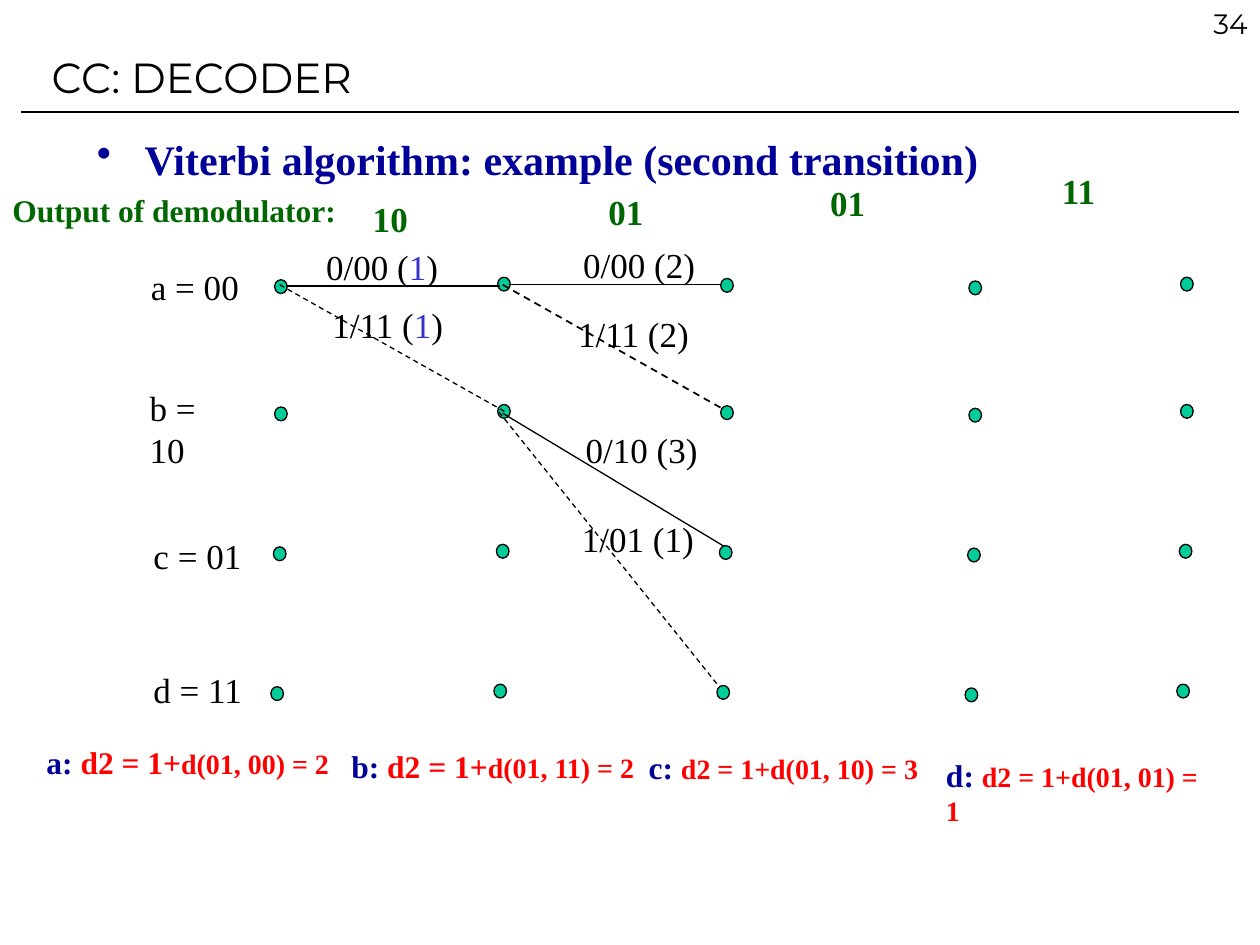
from dataclasses import dataclass

from lxml.etree import SubElement
from pptx import Presentation
from pptx.dml.color import RGBColor
from pptx.enum.dml import MSO_LINE_DASH_STYLE as Dash
from pptx.enum.shapes import MSO_CONNECTOR as Connector, MSO_SHAPE as Shape
from pptx.enum.text import MSO_ANCHOR as Anchor, MSO_AUTO_SIZE as AutoSize, PP_ALIGN as Align
from pptx.oxml.ns import qn
from pptx.slide import Slide
from pptx.text.text import TextFrame
from pptx.util import Inches, Pt


@dataclass(frozen=True)
class Theme:
    heading_font: str = "Montserrat"
    body_font: str = "Times New Roman"
    black: str = "000000"
    navy: str = "000099"
    green: str = "006600"
    red: str = "FF0000"
    blue: str = "3333CC"
    node: str = "00CC99"
    title_size: int = 24
    label_size: int = 20
    note_size: int = 18
    small_size: int = 16
    thin: float = 0.75
    medium: float = 1


THEME = Theme()


@dataclass(frozen=True)
class Span:
    text: str
    color: str = THEME.black
    size: int = THEME.label_size
    bold: bool = False
    font: str = THEME.body_font


@dataclass(frozen=True)
class Label:
    left: float
    top: float
    width: float
    spans: tuple[Span, ...]
    height: float = 0.44


@dataclass(frozen=True)
class Branch:
    start: tuple[float, float]
    end: tuple[float, float]
    width: float = THEME.thin
    dashed: bool = False


@dataclass(frozen=True)
class Stage:
    left: float
    top: float


NODE_OFFSETS = ((0, 0), (0, 1.01), (-0.01, 2.12), (-0.03, 3.23))
STAGES = (Stage(2.18, 2.22), Stage(3.95, 2.2), Stage(7.69, 2.23), Stage(9.37, 2.2))
CURRENT_STAGE = Stage(5.72, 2.21)

BRANCHES = (
    Branch((2.27, 2.27), (3.97, 2.27), THEME.medium),
    Branch((2.22, 2.26), (4.03, 3.28), dashed=True),
    Branch((4.04, 2.26), (5.72, 2.26)),
    Branch((3.99, 2.26), (5.78, 3.27), THEME.medium, dashed=True),
    Branch((3.99, 3.28), (5.77, 4.35)),
    Branch((3.96, 3.27), (5.74, 5.49), dashed=True),
)


def state(left: float, top: float, text: str) -> Label:
    """Describe the label of a trellis state."""
    return Label(left, top, 0.9, (Span(text),))


def received(left: float, top: float, bits: str) -> Label:
    """Describe a pair of demodulated bits."""
    return Label(left, top, 0.48, (Span(bits, THEME.green, bold=True),))


def cost(left: float, top: float, code: str, distance: str, color: str = THEME.black) -> Label:
    """Describe a branch label with its distance in brackets."""
    spans = (Span(f"{code} ("), Span(distance, color), Span(")"))
    return Label(left, top, 1.09, spans)


def metric(left: float, top: float, width: float, name: str, large: str, small: str) -> Label:
    """Describe the accumulated distance of a state."""
    spans = [Span(f"{name}: ", THEME.navy, THEME.note_size, True)]
    if large:
        spans.append(Span(large, THEME.red, THEME.note_size, True))
    spans.append(Span(small, THEME.red, THEME.small_size, True))
    return Label(left, top, width, tuple(spans), 0.4)


LABELS = (
    state(1.1, 2.06, "a = 00"),
    state(1.09, 3.02, "b = 10"),
    state(1.12, 4.19, "c = 01"),
    state(1.12, 5.26, "d = 11"),
    Label(0, 1.47, 2.77, (Span("Output of demodulator:", THEME.green, THEME.note_size, True),), 0.4),
    received(2.86, 1.52, "10"),
    received(4.73, 1.46, "01"),
    received(6.49, 1.39, "01"),
    received(8.33, 1.3, "11"),
    cost(2.49, 1.9, "0/00", "1", THEME.blue),
    cost(2.54, 2.36, "1/11", "1", THEME.blue),
    cost(4.53, 1.88, "0/00", "2"),
    cost(4.49, 2.43, "1/11", "2"),
    cost(4.55, 3.35, "0/10", "3"),
    cost(4.52, 4.06, "1/01", "1"),
    metric(0.27, 5.85, 2.44, "a", "d2 = 1+", "d(01, 00) = 2"),
    metric(2.69, 5.88, 2.45, "b", "d2 = 1+", "d(01, 11) = 2"),
    metric(5.05, 5.89, 2.34, "c", "", "d2 = 1+d(01, 10) = 3"),
    metric(7.41, 5.95, 2.36, "d", "", "d2 = 1+d(01, 01) = 1"),
)


def write_spans(text_frame: TextFrame, spans: tuple[Span, ...]) -> None:
    """Write formatted runs into the first paragraph."""
    paragraph = text_frame.paragraphs[0]
    for span in spans:
        run = paragraph.add_run()
        run.text = span.text
        run.font.name = span.font
        run.font.size = Pt(span.size)
        run.font.bold = span.bold
        run.font.color.rgb = RGBColor.from_string(span.color)


def add_text(slide: Slide, label: Label) -> TextFrame:
    """Add a text box and return its text frame."""
    box = slide.shapes.add_textbox(
        Inches(label.left), Inches(label.top), Inches(label.width), Inches(label.height)
    )
    write_spans(box.text_frame, label.spans)
    return box.text_frame


def draw_label(slide: Slide, label: Label) -> None:
    """Draw a one-line label that fits its text."""
    text_frame = add_text(slide, label)
    text_frame.word_wrap = False
    text_frame.auto_size = AutoSize.SHAPE_TO_FIT_TEXT


def draw_branch(slide: Slide, branch: Branch) -> None:
    """Draw a straight solid or dashed line."""
    line = slide.shapes.add_connector(
        Connector.STRAIGHT, *(Inches(value) for value in branch.start + branch.end)
    )
    line.line.color.rgb = RGBColor.from_string(THEME.black)
    line.line.width = Pt(branch.width)
    if branch.dashed:
        line.line.dash_style = Dash.DASH
    SubElement(line._element.spPr, qn("a:effectLst"))


def draw_stage(slide: Slide, stage: Stage) -> None:
    """Draw one grouped column of trellis nodes."""
    group = slide.shapes.add_group_shape()
    for across, down in NODE_OFFSETS:
        node = group.shapes.add_shape(
            Shape.OVAL, Inches(stage.left + across), Inches(stage.top + down), Inches(0.1), Inches(0.11)
        )
        node.shadow.inherit = False
        node.fill.solid()
        node.fill.fore_color.rgb = RGBColor.from_string(THEME.node)
        node.line.color.rgb = RGBColor.from_string(THEME.black)
        node.line.width = Pt(THEME.thin)


def draw_heading(slide: Slide) -> None:
    """Draw the title, its rule, the page number and the bullet."""
    draw_branch(slide, Branch((0.17, 0.89), (9.83, 0.89)))
    title = slide.shapes.title
    title.left, title.top, title.width, title.height = map(Inches, (0.31, 0.19, 8.5, 0.83))
    title.text_frame.vertical_anchor = Anchor.MIDDLE
    title.text_frame.paragraphs[0].alignment = Align.LEFT
    write_spans(title.text_frame, (Span("CC: DECODER", size=THEME.title_size, font=THEME.heading_font),))

    number = Span("34", size=THEME.small_size, font=THEME.heading_font)
    number_frame = add_text(slide, Label(7.92, 0, 2.08, (number,), 0.5))
    number_frame.word_wrap = True
    number_frame.paragraphs[0].alignment = Align.RIGHT

    topic = Span("Viterbi algorithm: example (second transition)", THEME.navy, THEME.title_size, True)
    topic_frame = add_text(slide, Label(0.67, 0.96, 8.5, (topic,), 5.74))
    topic_frame.word_wrap = True
    topic_frame.margin_top = Inches(0.1)
    properties = topic_frame.paragraphs[0]._p.get_or_add_pPr()
    properties.set("marL", str(Inches(0.38)))
    properties.set("indent", str(Inches(-0.38)))
    bullet_color = SubElement(properties, qn("a:buClr"))
    SubElement(bullet_color, qn("a:srgbClr"), val=THEME.navy)
    SubElement(properties, qn("a:buChar"), char="•")


def main() -> None:
    """Build and save the decoder slide."""
    presentation = Presentation()
    presentation.slide_width, presentation.slide_height = Inches(10), Inches(7.5)
    slide = presentation.slides.add_slide(presentation.slide_layouts[5])
    draw_heading(slide)
    for stage in STAGES:
        draw_stage(slide, stage)
    for branch in BRANCHES:
        draw_branch(slide, branch)
    for label in LABELS:
        draw_label(slide, label)
    draw_stage(slide, CURRENT_STAGE)
    presentation.save("out.pptx")


if __name__ == "__main__":
    main()
